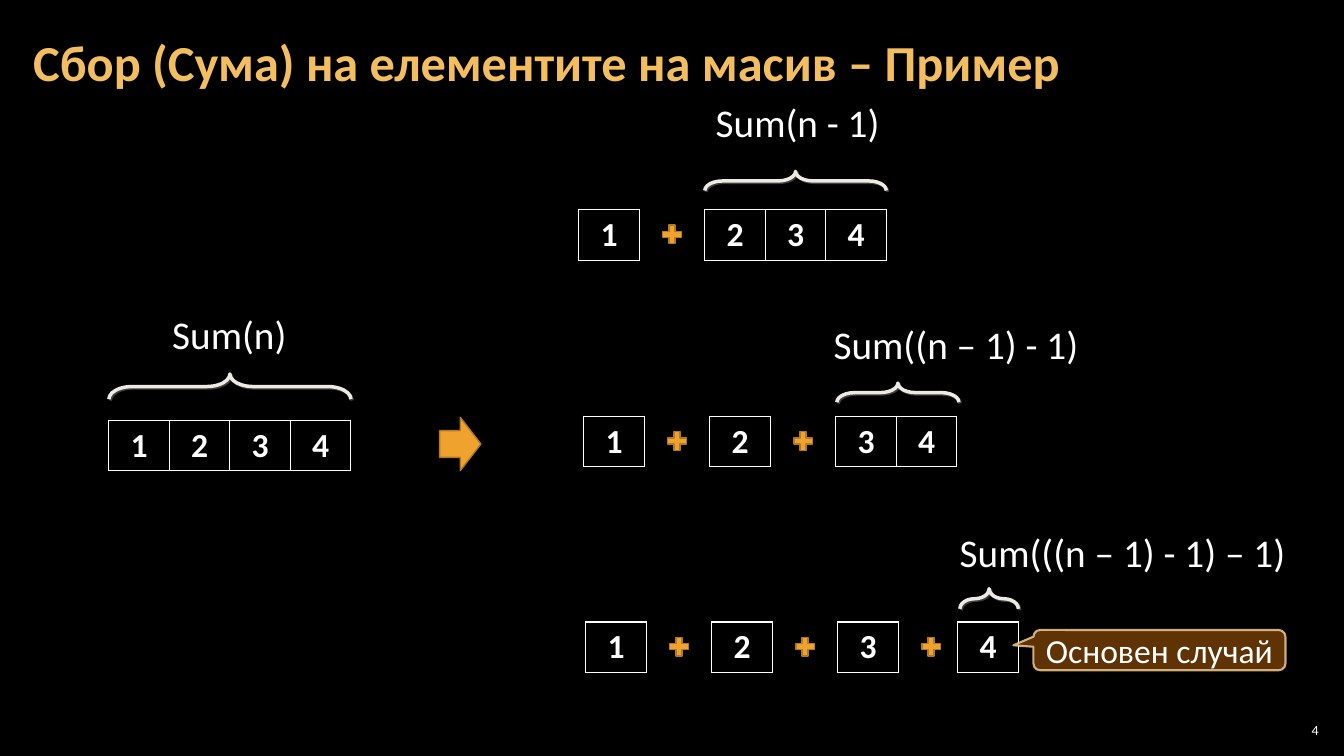
from dataclasses import dataclass

from lxml import etree
from pptx import Presentation
from pptx import util as u
from pptx.dml.color import RGBColor
from pptx.enum import shapes, text
from pptx.oxml import ns, parse_xml

In = u.Inches
SHAPE = shapes.MSO_SHAPE
ALIGN = text.PP_ALIGN
MIDDLE = text.MSO_ANCHOR.MIDDLE


@dataclass(frozen=True)
class Theme:
    font: str = "Calibri"
    background: str = "000000"
    title: str = "F3BE60"
    ink: str = "FFFFFF"
    accent: str = "F0A22E"
    accent_line: str = "B27822"
    brace: str = "ECEAE3"
    shadow: str = "404040"
    callout: str = "663606"
    callout_line: str = "F8D49E"
    title_size: int = 36
    label_size: int = 28
    body_size: int = 24
    number_size: int = 10


THEME = Theme()
CELL_W, CELL_H = 0.6, 0.5
STEP = 1.25   # from one single cell to the next
PLUS = 0.25


def rgb(value):
    return RGBColor.from_string(value)


def write(tf, words, size, color=THEME.ink, bold=False, align=ALIGN.LEFT):
    p = tf.paragraphs[0]
    p.alignment = align
    r = p.add_run()
    r.text = words
    r.font.color.rgb = rgb(color)
    formats = {"name": THEME.font, "size": u.Pt(size), "bold": bold}
    for name, value in formats.items():
        setattr(r.font, name, value)
    return p


def set_frame(tf, inset_x, inset_y):
    formats = {"margin_left": In(inset_x), "margin_right": In(inset_x),
               "margin_top": In(inset_y), "margin_bottom": In(inset_y),
               "vertical_anchor": MIDDLE, "word_wrap": True}
    for name, value in formats.items():
        setattr(tf, name, value)


def add_label(s, x, y, w, words):
    tf = s.shapes.add_textbox(In(x), In(y), In(w), In(0.57)).text_frame
    tf.word_wrap = False
    tf.auto_size = text.MSO_AUTO_SIZE.SHAPE_TO_FIT_TEXT
    write(tf, words, THEME.label_size)


def add_array(s, x, y, values):
    """One-row table of outlined cells."""
    table = s.shapes.add_table(1, len(values), In(x), In(y),
                               In(CELL_W * len(values)), In(CELL_H)).table
    table.first_row = table.horz_banding = False
    for column, value in enumerate(values):
        table.columns[column].width = In(CELL_W)
        cell = table.cell(0, column)
        write(cell.text_frame, str(value), THEME.body_size, bold=True, align=ALIGN.CENTER)
        props = cell._tc.get_or_add_tcPr()
        for side in ("lnL", "lnR", "lnT", "lnB"):
            props.append(parse_xml(
                f'<a:{side} {ns.nsdecls("a")} w="{u.Pt(1)}"><a:solidFill>'
                f'<a:srgbClr val="{THEME.ink}"/></a:solidFill></a:{side}>'))
        cell.fill.background()


def add_accent(s, kind, x, y, w, h):
    sp = s.shapes.add_shape(kind, In(x), In(y), In(w), In(h))
    sp.shadow.inherit = False
    sp.fill.solid()
    sp.fill.fore_color.rgb = rgb(THEME.accent)
    sp.line.color.rgb = rgb(THEME.accent_line)
    sp.line.width = u.Pt(1)


def add_brace(s, x, y, w, h):
    """Brace lying over the area x, y, w, h, with its tip upwards."""
    left, top = x + (w - h) / 2, y + (h - w) / 2
    sp = s.shapes.add_shape(SHAPE.LEFT_BRACE, In(left), In(top), In(h), In(w))
    sp.rotation = 90
    sp.adjustments[0] = 0.92
    sp.fill.background()
    sp.line.color.rgb = rgb(THEME.brace)
    sp.line.width = u.Pt(2.5)
    sp.shadow.inherit = False
    effects = sp._element.spPr.find(ns.qn("a:effectLst"))
    effects.append(parse_xml(
        f'<a:outerShdw {ns.nsdecls("a")} blurRad="0" dist="{u.Pt(1.4)}" dir="2700000" '
        f'algn="tl" rotWithShape="0"><a:srgbClr val="{THEME.shadow}"/></a:outerShdw>'))


def set_alpha(sp, route, percent):
    color = sp._element.spPr.find("/".join(ns.qn(tag) for tag in route))
    etree.SubElement(color, ns.qn("a:alpha")).set("val", str(percent * 1000))


def add_callout(s, x, y, w, h, words):
    sp = s.shapes.add_shape(SHAPE.ROUNDED_RECTANGULAR_CALLOUT, In(x), In(y), In(w), In(h))
    sp.shadow.inherit = False
    for i, value in enumerate((-0.58, -0.12, 0.17)):
        sp.adjustments[i] = value
    sp.fill.solid()
    sp.fill.fore_color.rgb = rgb(THEME.callout)
    sp.line.color.rgb = rgb(THEME.callout_line)
    sp.line.width = u.Pt(1.5)
    set_alpha(sp, ("a:solidFill", "a:srgbClr"), 95)
    set_alpha(sp, ("a:ln", "a:solidFill", "a:srgbClr"), 80)
    set_frame(sp.text_frame, 0, 0)
    write(sp.text_frame, words, THEME.body_size, align=ALIGN.CENTER)


def add_expansion(s, x, y, singles, rest_x, rest):
    """Single cells, each followed by a plus, then the array still to be summed."""
    for i, value in enumerate(singles):
        cell_x = x + i * STEP
        add_array(s, cell_x, y, [value])
        add_accent(s, SHAPE.MATH_PLUS, cell_x + 0.8, y + 0.12, PLUS, PLUS)
    add_array(s, rest_x, y, rest)


def main():
    prs = Presentation()
    prs.slide_width, prs.slide_height = In(13.33), In(7.5)
    s = prs.slides.add_slide(prs.slide_layouts[6])
    s.background.fill.solid()
    s.background.fill.fore_color.rgb = rgb(THEME.background)

    # Title
    tf = s.shapes.add_textbox(In(0.21), In(0.04), In(10.47), In(1.21)).text_frame
    set_frame(tf, 0.12, 0.04)
    p = write(tf, "Сбор (Сума) на елементите на масив – Пример",
              THEME.title_size, THEME.title, bold=True)
    p.line_spacing = 0.9

    # Whole array and the arrow to its expansions
    add_array(s, 1.08, 4.17, [1, 2, 3, 4])
    add_accent(s, SHAPE.RIGHT_ARROW, 4.36, 4.14, 0.41, 0.53)

    # Recursive expansions
    add_expansion(s, 5.74, 2.08, [1], 6.99, [2, 3, 4])
    add_expansion(s, 5.79, 4.13, [1, 2], 8.29, [3, 4])
    add_expansion(s, 5.81, 6.17, [1, 2, 3], 9.5, [4])

    # Braces
    for area in ((1.08, 3.71, 2.4, 0.25), (6.99, 1.7, 1.8, 0.19),
                 (8.3, 3.8, 1.21, 0.19), (9.52, 5.84, 0.58, 0.2)):
        add_brace(s, *area)

    # Calls
    for label in ((1.61, 3.03, 1.35, "Sum(n)"),
                  (7, 0.93, 1.85, "Sum(n - 1)"),
                  (8.17, 3.13, 2.66, "Sum((n – 1) - 1)"),
                  (9.42, 5.19, 3.59, "Sum(((n – 1) - 1) – 1)")):
        add_label(s, *label)

    # Base case
    add_callout(s, 10.25, 6.25, 2.5, 0.4, "Основен случай")

    # Slide number
    tf = s.shapes.add_textbox(In(12.65), In(7.14), In(0.47), In(0.21)).text_frame
    set_frame(tf, 0.04, 0.04)
    write(tf, "4", THEME.number_size, align=ALIGN.RIGHT)

    prs.save("out.pptx")


if __name__ == "__main__":
    main()
